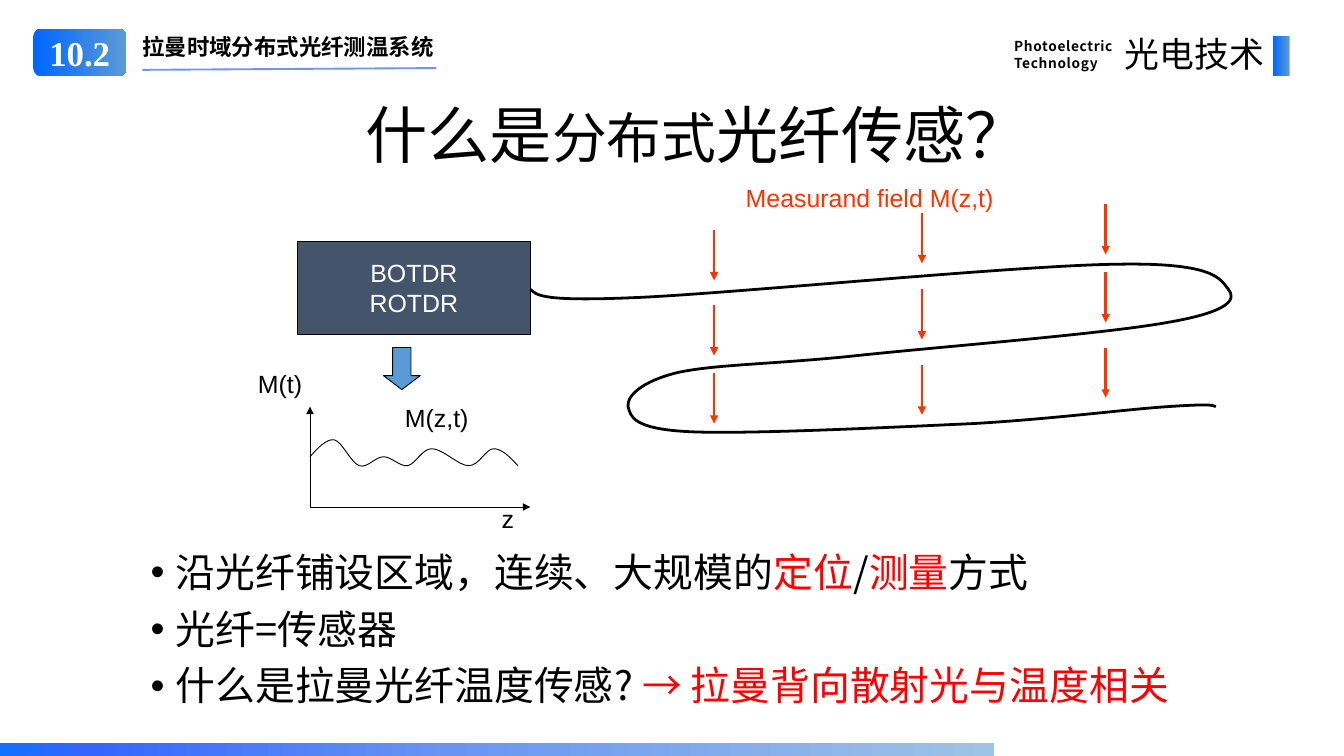
from lxml import etree
from pptx import Presentation, util as u
from pptx.dml.color import RGBColor
from pptx.enum import dml, shapes, text
from pptx.oxml.ns import qn

PX = 9144  # EMU per px, 100 px to the inch
CJK = "Noto Sans CJK SC"
BLACK, WHITE, RED, ORANGE = "000000", "FFFFFF", "FF0000", "FF3300"
LABEL = {"size": 20, "name": "Arial", "color": BLACK}
BADGE_STOPS = [(0, "0066FF"), (100, "5B9BD5")]
FOOTER_STOPS = [(0, "1271FE"), (9, "3366FF"), (45, "6895F3"), (100, "9DC3E6")]

# Each curve is a start point followed by Bezier control points in threes
FIBRE = [
    (592, 323), (599, 330), (606, 337), (715, 332), (824, 327), (1139, 296), (1248, 295),
    (1357, 293), (1362, 312), (1371, 323), (1380, 334), (1373, 348), (1303, 360),
    (1232, 373), (1038, 388), (947, 398), (856, 407), (797, 407), (756, 416),
    (715, 426), (699, 443), (701, 454), (704, 465), (706, 479), (770, 482),
    (833, 485), (995, 477), (1084, 473), (1173, 468), (1257, 457), (1303, 454),
    (1348, 451), (1353, 452), (1357, 454)]
SIGNAL = [
    (346, 510), (355, 500), (364, 490), (373, 491), (382, 493), (391, 516), (401, 520),
    (410, 523), (419, 510), (428, 510), (437, 510), (446, 521), (455, 520),
    (464, 518), (471, 501), (482, 501), (494, 501), (512, 520), (523, 520),
    (535, 520), (542, 501), (551, 501), (560, 501), (569, 510), (578, 520)]
FIELD_ARROWS = {797: (257, 341, 417), 1029: (238, 323, 407), 1234: (228, 304, 388)}
FIELD_ARROW_LENGTH = 56


def px(*lengths):
    return [u.Emu(length * PX) for length in lengths]


def rgb(code):
    return RGBColor.from_string(code)


def set_font(run, size, name, color, bold=False, spacing=None):
    values = {"size": u.Pt(size), "name": name, "bold": bold}
    for key, value in values.items():
        setattr(run.font, key, value)
    run.font.color.rgb = rgb(color)
    props = run.font._element
    east_asian = etree.SubElement(props, qn("a:ea"))
    east_asian.set("typeface", CJK if name == "Calibri" else name)
    if spacing:
        props.set("spc", str(spacing))


def write(frame, paragraphs, style, frame_format=None, **paragraph_format):
    """Fill a frame; each paragraph is a list of (text, style changes)."""
    for key, value in (frame_format or {}).items():
        setattr(frame, key, value)
    for index, runs in enumerate(paragraphs):
        paragraph = frame.paragraphs[0] if index == 0 else frame.add_paragraph()
        for key, value in paragraph_format.items():
            setattr(paragraph, key, value)
        for words, changes in runs:
            run = paragraph.add_run()
            run.text = words
            set_font(run, **{**style, **changes})


def add_text(slide, box, lines, style, wrap=True, **paragraph_format):
    frame = slide.shapes.add_textbox(*px(*box)).text_frame
    write(frame, [[(line, {})] for line in lines], style,
          {"word_wrap": wrap}, **paragraph_format)
    return frame


def set_line(shape, color, width):
    shape.line.color.rgb = rgb(color)
    shape.line.width = u.Pt(width)


def add_block(slide, kind, box, fill, outlined=False):
    """Add a preset shape; fill is a colour or a list of gradient stops."""
    block = slide.shapes.add_shape(kind, *px(*box))
    block.shadow.inherit = False
    if isinstance(fill, str):
        block.fill.solid()
        block.fill.fore_color.rgb = rgb(fill)
    else:
        block.fill.gradient()
        block.fill.gradient_angle = 0
        stops = block._element.spPr.find(".//" + qn("a:gsLst"))
        for stop in list(stops):
            stops.remove(stop)
        for percent, color in fill:
            stop = etree.SubElement(stops, qn("a:gs"), pos=str(percent * 1000))
            etree.SubElement(stop, qn("a:srgbClr"), val=color)
    if outlined:
        set_line(block, BLACK, 0.75)
    else:
        block.line.fill.background()
    return block


def add_line(slide, start, end, color, width, arrow=False, opacity=None):
    line = slide.shapes.add_connector(shapes.MSO_CONNECTOR.STRAIGHT, *px(*start, *end))
    set_line(line, color, width)
    props = line._element.spPr
    if arrow:
        etree.SubElement(props.find(qn("a:ln")), qn("a:tailEnd"), type="triangle")
    if opacity:
        shade = props.find(".//" + qn("a:srgbClr"))
        etree.SubElement(shade, qn("a:alpha"), val=str(opacity * 1000))
    etree.SubElement(props, qn("a:effectLst"))


def add_curve(slide, points, width):
    """Draw a freeform and join its vertices in threes into Bezier segments."""
    builder = slide.shapes.build_freeform(*points[0], scale=PX)
    builder.add_line_segments(points[1:], close=False)
    curve = builder.convert_to_shape()
    curve.shadow.inherit = False
    curve.fill.background()
    set_line(curve, BLACK, width)
    outline = curve._element.spPr.find(".//" + qn("a:path"))
    vertices = outline.findall(qn("a:lnTo"))
    for first in range(0, len(vertices), 3):
        segment = etree.SubElement(outline, qn("a:cubicBezTo"))
        for vertex in vertices[first:first + 3]:
            segment.append(vertex[0])
            outline.remove(vertex)


def place(placeholder, box):
    for key, value in zip(("left", "top", "width", "height"), px(*box)):
        setattr(placeholder, key, value)
    return placeholder.text_frame


def add_header(slide):
    add_text(slide, (149, 32, 499, 40), ["拉曼时域分布式光纤测温系统"],
             {"size": 18, "name": CJK, "color": BLACK, "bold": True})
    add_text(slide, (1122, 36, 132, 49), ["Photoelectric", "Technology"],
             {"size": 11, "name": CJK, "color": BLACK, "bold": True, "spacing": 50},
             line_spacing=u.Pt(14))
    add_block(slide, shapes.MSO_SHAPE.RECTANGLE, (1421, 40, 18, 45), BADGE_STOPS)
    badge = add_block(slide, shapes.MSO_SHAPE.ROUNDED_RECTANGLE, (37, 32, 104, 53), BADGE_STOPS)
    write(badge.text_frame, [[("10.2", {})]],
          {"size": 28, "name": "Times New Roman", "color": WHITE, "bold": True},
          alignment=text.PP_ALIGN.CENTER)
    add_line(slide, (159, 78), (487, 76), "3366FF", 1.5, opacity=70)
    add_text(slide, (1231, 32, 190, 57), ["光电技术"],
             {"size": 28, "name": CJK, "color": BLACK, "spacing": 20},
             alignment=text.PP_ALIGN.RIGHT)


def add_title(slide):
    write(place(slide.shapes.title, (371, 109, 813, 90)),
          [[("什么是", {}), ("分布式", {"size": 44}), ("光纤传感？", {})]],
          {"size": 50, "name": "Calibri", "color": BLACK},
          {"vertical_anchor": text.MSO_ANCHOR.MIDDLE, "auto_size": text.MSO_AUTO_SIZE.NONE},
          alignment=text.PP_ALIGN.CENTER, line_spacing=0.9)


def add_points(slide):
    red = {"color": RED}
    frame = place(slide.placeholders[1], (158, 612, 1222, 199))
    write(frame, [
        [("沿光纤铺设区域，连续、大规模的", {}), ("定位", red), ("/", {}),
         ("测量", red), ("方式", {})],
        [("光纤=传感器", {})],
        [("什么是拉曼光纤温度传感? ", {}), ("→ 拉曼背向散射光与温度相关", red)],
    ], {"size": 32, "name": CJK, "color": BLACK},
        {"auto_size": text.MSO_AUTO_SIZE.NONE, "vertical_anchor": text.MSO_ANCHOR.TOP},
        line_spacing=0.9, space_before=u.Pt(11.2))
    frame.paragraphs[0].space_before = u.Pt(0)
    for paragraph in frame.paragraphs:
        props = paragraph._p.get_or_add_pPr()
        props.set("marL", str(28 * PX))
        props.set("indent", str(-28 * PX))
        etree.SubElement(props, qn("a:buFont"), typeface="Arial")
        etree.SubElement(props, qn("a:buChar"), char="•")


def add_diagram(slide):
    # Instrument and sensing fibre
    instrument = add_block(slide, shapes.MSO_SHAPE.RECTANGLE, (332, 270, 260, 103), "44546A", True)
    write(instrument.text_frame, [[("BOTDR", {})], [("ROTDR", {})]],
          {**LABEL, "color": WHITE}, {"word_wrap": False},
          alignment=text.PP_ALIGN.CENTER)
    add_curve(slide, FIBRE, 2.25)
    field = add_text(slide, (715, 192, 519, 56), ["Measurand field M(z,t) "],
                     {**LABEL, "color": ORANGE}, False, alignment=text.PP_ALIGN.CENTER)
    field.vertical_anchor = text.MSO_ANCHOR.MIDDLE

    # Measured profile with its axes
    output = add_block(slide, shapes.MSO_SHAPE.DOWN_ARROW, (428, 388, 41, 47), "5B9BD5", True)
    output.adjustments[1] = 0.38
    for axis_end in ((592, 566), (346, 454)):
        add_line(slide, (346, 566), axis_end, BLACK, 0.75, arrow=True)
    add_curve(slide, SIGNAL, 0.75)
    for words, box in (("M(z,t)", (442, 445, 92, 44)), ("z", (550, 557, 34, 44)),
                       ("M(t)", (278, 407, 70, 44))):
        add_text(slide, box, [words], LABEL, False)

    # Field acting along the fibre
    for x, tops in FIELD_ARROWS.items():
        for top in tops:
            add_line(slide, (x, top), (x, top + FIELD_ARROW_LENGTH), ORANGE, 2.25, arrow=True)


def main():
    deck = Presentation()
    deck.slide_width, deck.slide_height = px(1500, 844)
    slide = deck.slides.add_slide(deck.slide_layouts[1])
    slide.background.fill.solid()
    slide.background.fill.fore_color.rgb = rgb(WHITE)
    add_header(slide)
    add_block(slide, shapes.MSO_SHAPE.RECTANGLE, (0, 830, 1109, 14), FOOTER_STOPS)
    add_title(slide)
    add_points(slide)
    add_diagram(slide)
    deck.save("out.pptx")


if __name__ == "__main__":
    main()
